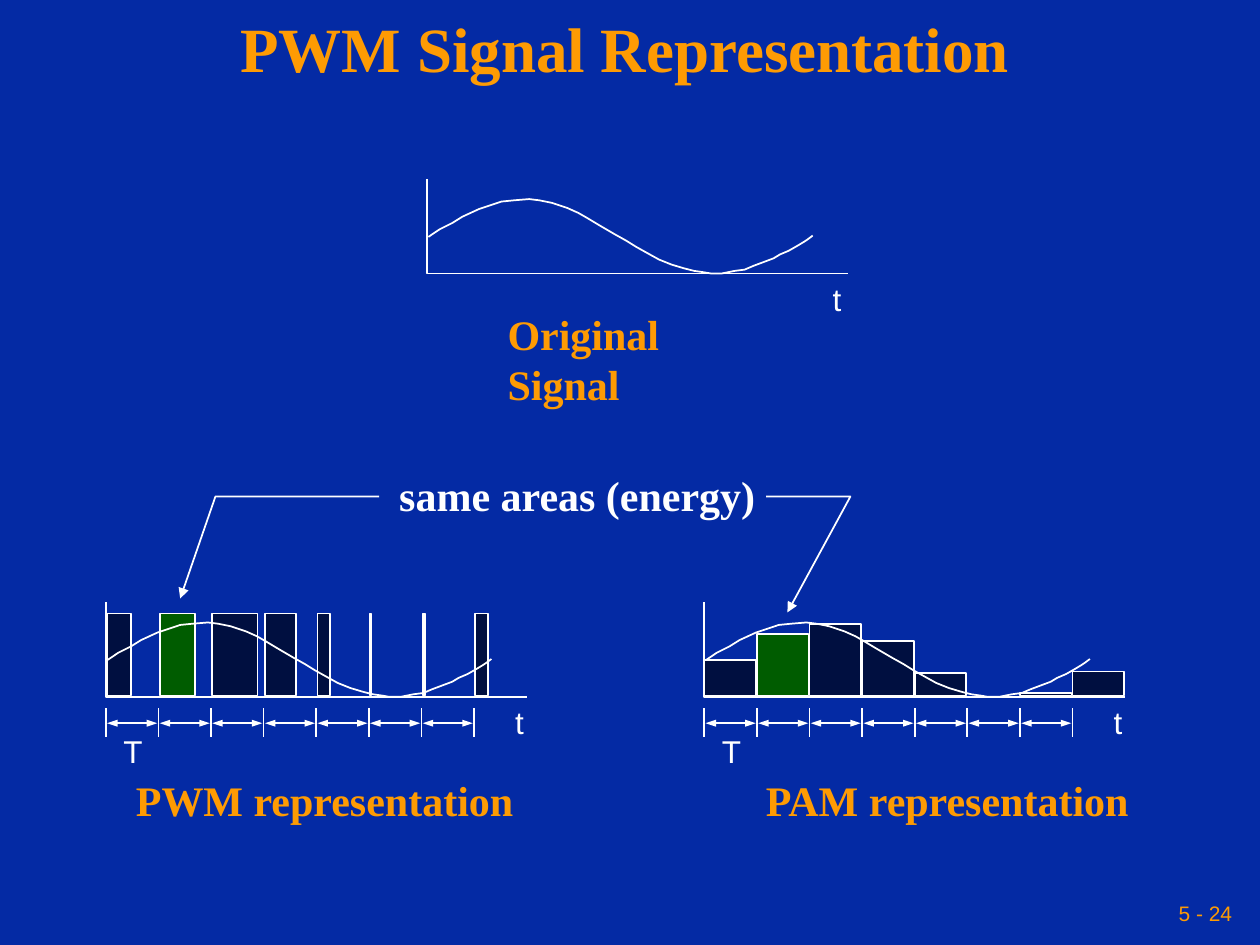
"""Build the slide comparing PWM and PAM representations of one signal."""
from dataclasses import dataclass

from lxml.etree import SubElement
from pptx import Presentation
from pptx.dml.color import RGBColor
from pptx.enum.shapes import MSO_CONNECTOR, MSO_SHAPE
from pptx.enum.text import MSO_ANCHOR, MSO_AUTO_SIZE, PP_ALIGN
from pptx.oxml.ns import qn
from pptx.util import Inches, Pt


@dataclass(frozen=True)
class Theme:
    back: str = "042AA4"
    accent: str = "FE9B03"
    ink: str = "FFFFFF"
    bar: str = "000F40"
    marked: str = "005C00"
    serif: str = "Times New Roman"
    sans: str = "Arial"
    title: int = 36
    caption: int = 24
    axis: int = 18
    number: int = 12
    line: int = 1


T = Theme()
SLIDE_W, SLIDE_H = 10, 7.5
AXIS_W, AXIS_H, PERIODS = 3.34, 0.75, 8
PERIOD = AXIS_W / PERIODS
BAR_BASE, MARKED = 0.01, 1
TICK_TOP, TICK_BOTTOM, SPAN_Y, SPAN_GAP = 0.09, 0.32, 0.21, 0.01

WAVE = [
    (0.01, 0.29), (0.1, 0.35), (0.2, 0.4), (0.28, 0.45), (0.41, 0.51), (0.5, 0.54),
    (0.59, 0.57), (0.69, 0.58), (0.81, 0.59), (0.89, 0.58), (0.99, 0.56), (1.11, 0.52),
    (1.2, 0.48), (1.27, 0.44), (1.37, 0.38), (1.49, 0.31), (1.58, 0.26), (1.66, 0.21),
    (1.75, 0.16), (1.84, 0.11), (1.94, 0.07), (2.04, 0.04), (2.12, 0.02), (2.19, 0.01),
    (2.25, 0), (2.34, 0), (2.44, 0.02), (2.52, 0.03), (2.59, 0.06), (2.67, 0.09),
    (2.75, 0.12), (2.8, 0.15), (2.87, 0.18), (2.94, 0.22), (2.99, 0.25), (3.02, 0.27),
    (3.06, 0.3),
]
PWM_WIDTHS = [0.19, 0.28, 0.36, 0.25, 0.1, 0.01, 0.02, 0.1]
PAM_HEIGHTS = [0.28, 0.49, 0.57, 0.43, 0.18, 0, 0.02, 0.19]
PLOTS = [
    dict(origin=(0.84, 5.53), caption="PWM representation", caption_at=(0.14, 0.57, 3.21),
         t_at=3.15, bar_shift=0.01, bars=[(w, 0.65) for w in PWM_WIDTHS]),
    dict(origin=(5.59, 5.53), caption="PAM representation", caption_at=(0.39, 0.57, 3.11),
         t_at=3.15, bar_shift=0, bars=[(0.41, h) for h in PAM_HEIGHTS]),
    dict(origin=(3.39, 2.17), caption="Original Signal", caption_at=(0.54, 0.23, 2.37),
         t_at=3.12, bar_shift=0, bars=[]),
]
POINTERS = [
    [(1.43, 4.75), (1.71, 3.94), (3.01, 3.94)],
    [(6.25, 4.86), (6.75, 3.94), (6.08, 3.94)],
]


def rgb(color):
    return RGBColor.from_string(color)


def stroke(shape, heads=(), width="med"):
    shape.line.color.rgb = rgb(T.ink)
    shape.line.width = Pt(T.line)
    ln = shape.line._get_or_add_ln()
    for head in heads:
        SubElement(ln, qn(f"a:{head}"), type="triangle", w=width, len="med")


def polyline(shapes, points, heads=()):
    start, *rest = [(Inches(x), Inches(y)) for x, y in points]
    builder = shapes.build_freeform(*start)
    builder.add_line_segments(rest, close=False)
    sp = builder.convert_to_shape()
    sp.shadow.inherit = False
    sp.fill.background()
    stroke(sp, heads)


def segment(shapes, x1, y1, x2, y2, heads=()):
    ends = [Inches(v) for v in (x1, y1, x2, y2)]
    cxn = shapes.add_connector(MSO_CONNECTOR.STRAIGHT, *ends)
    stroke(cxn, heads, "sm")
    SubElement(cxn._element.spPr, qn("a:effectLst"))


def bar(shapes, x, y, w, h, color):
    sp = shapes.add_shape(MSO_SHAPE.RECTANGLE, *[Inches(v) for v in (x, y, w, h)])
    sp.shadow.inherit = False
    sp.fill.solid()
    sp.fill.fore_color.rgb = rgb(color)
    stroke(sp)


def write(tf, text, size, font, color, bold=False):
    p = tf.paragraphs[0]
    r = p.add_run()
    r.text = text
    r.font.size, r.font.name, r.font.bold = Pt(size), font, bold
    r.font.color.rgb = rgb(color)
    return p


def label(shapes, x, y, w, h, *style):
    tf = shapes.add_textbox(*[Inches(v) for v in (x, y, w, h)]).text_frame
    tf.word_wrap = False
    tf.auto_size = MSO_AUTO_SIZE.SHAPE_TO_FIT_TEXT
    write(tf, *style)


def time_scale(shapes, x, y):
    for i in range(PERIODS):
        tick = x + i * PERIOD
        segment(shapes, tick, y + TICK_TOP, tick, y + TICK_BOTTOM)
        if i < PERIODS - 1:
            segment(shapes, tick + SPAN_GAP, y + SPAN_Y, tick + PERIOD - SPAN_GAP,
                    y + SPAN_Y, ("headEnd", "tailEnd"))
    label(shapes, x + 0.04, y + 0.23, 0.35, 0.4, "T", T.axis, T.sans, T.ink)


def plot(s, origin, caption, caption_at, t_at, bar_shift, bars):
    shapes = s.shapes.add_group_shape().shapes
    x, y = origin
    polyline(shapes, [(x, y - AXIS_H), (x, y), (x + AXIS_W, y)])
    for i, (w, h) in enumerate(bars):
        if h:
            bar(shapes, x + bar_shift + i * PERIOD, y - BAR_BASE - h, w, h,
                T.marked if i == MARKED else T.bar)
    if bars:
        time_scale(shapes, x, y)
    label(shapes, x + t_at, y, 0.27, 0.4, "t", T.axis, T.sans, T.ink)
    polyline(shapes, [(x + dx, y - h) for dx, h in WAVE])
    dx, dy, w = caption_at
    label(shapes, x + dx, y + dy, w, 0.5, caption, T.caption, T.serif, T.accent, True)


def add_title(s):
    title = s.shapes.title
    title.left, title.top, title.width, title.height = 0, 0, Inches(9.92), Inches(0.83)
    title.text_frame.vertical_anchor = MSO_ANCHOR.MIDDLE
    p = write(title.text_frame, "PWM Signal Representation", T.title, T.serif, T.accent, True)
    p.alignment, p.line_spacing = PP_ALIGN.CENTER, 0.9


def add_number(s):
    tf = s.shapes.add_textbox(Inches(6.83), Inches(7.08), Inches(3), Inches(0.33)).text_frame
    tf.word_wrap = True
    tf.vertical_anchor = MSO_ANCHOR.MIDDLE
    tf.margin_left = tf.margin_right = Inches(0.05)
    write(tf, "5 - 24", T.number, T.sans, T.accent).alignment = PP_ALIGN.RIGHT


def main():
    prs = Presentation()
    prs.slide_width, prs.slide_height = Inches(SLIDE_W), Inches(SLIDE_H)
    s = prs.slides.add_slide(prs.slide_layouts[5])
    s.background.fill.solid()
    s.background.fill.fore_color.rgb = rgb(T.back)
    add_number(s)
    for item in PLOTS:
        plot(s, **item)
    add_title(s)
    label(s.shapes, 3.07, 3.68, 3.03, 0.5,
          "same areas (energy)", T.caption, T.serif, T.ink, True)
    for points in POINTERS:
        polyline(s.shapes, points, ("headEnd",))
    prs.save("out.pptx")


if __name__ == "__main__":
    main()
